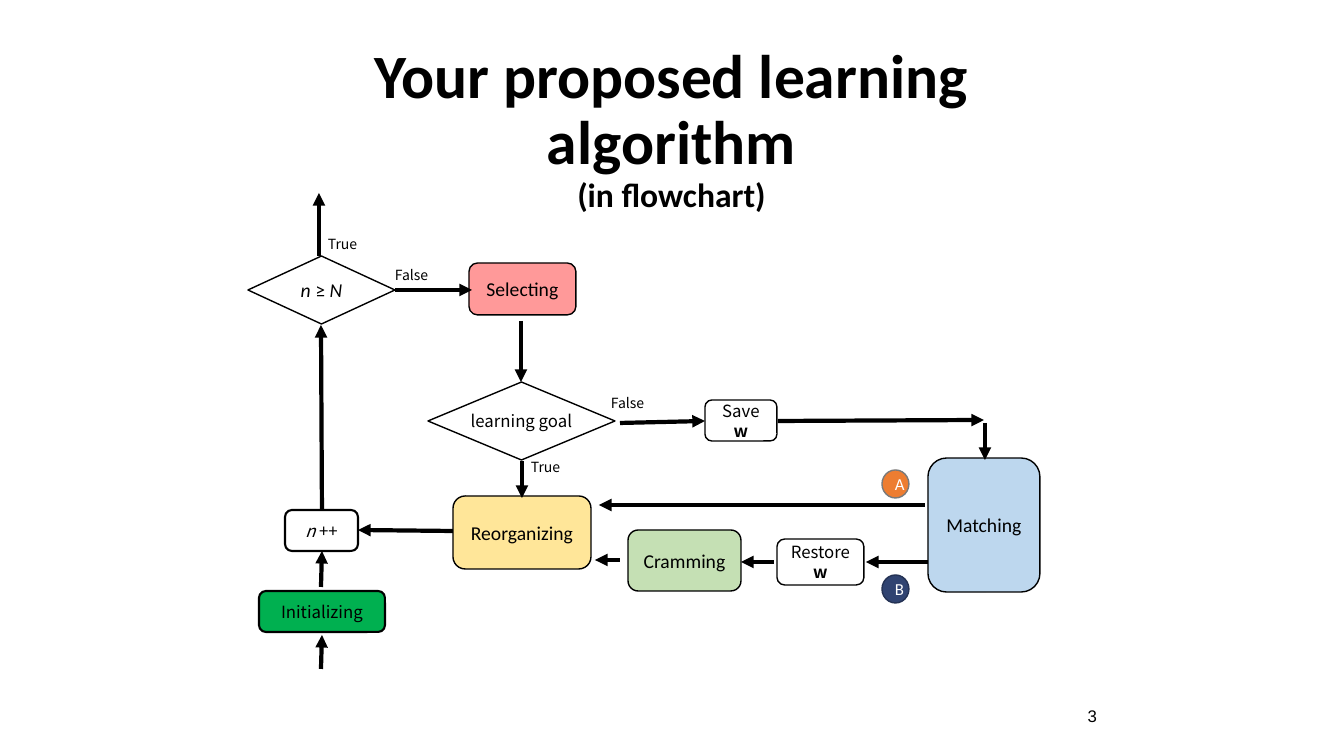
"""Build the learning algorithm flowchart slide."""
from lxml.etree import SubElement
from pptx import Presentation
from pptx.dml.color import RGBColor
from pptx.enum.shapes import MSO_CONNECTOR, MSO_SHAPE as SHAPE
from pptx.enum.text import MSO_ANCHOR as ANCHOR, PP_ALIGN as ALIGN
from pptx.oxml.ns import qn
from pptx.util import Pt

PX = 914400 / 100.8
COLORS = {
    "black": "000000", "white": "FFFFFF", "blue": "BDD7EE", "green": "C5E0B4",
    "red": "FF9999", "yellow": "FFE699", "emerald": "00B050", "orange": "ED7D31",
    "navy": "304371", "gray": "7A7A7A", "dark navy": "243254",
}
CALIBRI, CJK_TC, CJK_SC = "Calibri", "Noto Sans CJK TC", "Noto Sans CJK SC"

TITLE = [[("Your proposed learning algorithm", "b", 44)], [("(in flowchart)", "b", 24)]]
STEPS = [
    ((285, 510, 73, 41), "white", 1.5, [("n", "i"), (" ++", "")], CJK_TC, 12),
    ((705, 400, 72, 41), "white", 1, [("Save ", ""), ("w", "b")], CJK_TC, 12),
    ((928, 458, 112, 134), "blue", 1, [("Matching", "")], CALIBRI, 14),
    ((628, 530, 113, 61), "green", 1, [("Cramming", "")], CALIBRI, 14),
    ((777, 539, 87, 46), "white", 1, [("Restore ", ""), ("w", "b")], CJK_TC, 12),
    ((469, 263, 107, 52), "red", 1, [("Selecting", "")], CALIBRI, 14),
    ((453, 496, 138, 73), "yellow", 1, [("Reorganizing", "")], CALIBRI, 14),
    ((259, 591, 126, 41), "emerald", 1.5, [("Initializing", "")], CJK_TC, 12),
]
DECISIONS = [
    ((248, 256, 147, 68), [("n ", "i"), ("≥ ", ""), ("N", "i")], CALIBRI, 14),
    ((428, 382, 187, 78), [("learning goal", "")], CJK_SC, 12),
]
BADGES = [("A", (882, 470, 27, 28), "orange", "gray"),
          ("B", (882, 575, 27, 28), "navy", "dark navy")]
BRANCHES = [("False", (601, 390, 59, 27)), ("True", (521, 454, 55, 27)),
            ("False", (385, 262, 59, 27)), ("True", (318, 231, 55, 27))]
ARROWS = [
    (522, 461, 522, 498), (395, 290, 472, 290), (322, 510, 321, 325),
    (620, 423, 705, 421), (778, 421, 984, 420), (620, 560, 595, 560),
    (321, 587, 322, 551), (453, 531, 358, 530), (925, 505, 599, 505),
    (774, 562, 741, 562), (928, 562, 866, 562), (521, 321, 521, 382),
    (319, 256, 319, 193), (985, 423, 985, 460), (321, 669, 322, 635),
]


def px(*values):
    return [round(v * PX) for v in values]


def rgb(name):
    return RGBColor.from_string(COLORS[name])


def write(s, paragraphs, font=CALIBRI, size=12, color="black", align=ALIGN.CENTER,
          anchor=ANCHOR.MIDDLE, insets=(10, 5), wrap=True, spacing=None):
    tf = s.text_frame
    tf.word_wrap = wrap
    tf.vertical_anchor = anchor
    tf.margin_left = tf.margin_right = px(insets[0])[0]
    tf.margin_top = tf.margin_bottom = px(insets[1])[0]
    for i, runs in enumerate(paragraphs):
        p = tf.add_paragraph() if i else tf.paragraphs[0]
        p.alignment = align
        p.line_spacing = spacing
        for text, style, *own_size in runs:
            r = p.add_run()
            r.text = text
            r.font.name = font
            r.font.size = Pt(own_size[0] if own_size else size)
            r.font.bold = style == "b"
            r.font.italic = style == "i"
            r.font.color.rgb = rgb(color)


def add_box(sp, kind, box, fill="white", line="black", width=1):
    s = sp.add_shape(kind, *px(*box))
    s.shadow.inherit = False
    s.fill.solid()
    s.fill.fore_color.rgb = rgb(fill)
    s.line.color.rgb = rgb(line)
    s.line.width = Pt(width)
    return s


def add_arrow(sp, ends):
    s = sp.add_connector(MSO_CONNECTOR.STRAIGHT, *px(*ends))
    s.line.color.rgb = rgb("black")
    s.line.width = Pt(3)
    SubElement(s.line._get_or_add_ln(), qn("a:tailEnd"), type="triangle")
    SubElement(s._element.spPr, qn("a:effectLst"))


def main():
    prs = Presentation()
    prs.slide_width, prs.slide_height = px(1344, 756)
    sp = prs.slides.add_slide(prs.slide_layouts[6]).shapes

    for box, fill, width, runs, font, size in STEPS:
        s = add_box(sp, SHAPE.ROUNDED_RECTANGLE, box, fill, width=width)
        write(s, [runs], font=font, size=size)
    for box, runs, font, size in DECISIONS:
        s = add_box(sp, SHAPE.DIAMOND, box)
        write(s, [runs], font=font, size=size, insets=(5, 5), wrap=False)
    for ends in ARROWS:
        add_arrow(sp, ends)
    for text, box in BRANCHES:
        write(sp.add_textbox(*px(*box)), [[(text, "")]], font=CJK_TC, size=10,
              align=ALIGN.LEFT, anchor=ANCHOR.TOP)
    for text, box, fill, line in BADGES:
        s = add_box(sp, SHAPE.OVAL, box, fill, line)
        write(s, [[(text, "")]], color="white")

    write(sp.add_textbox(*px(237, 40, 869, 146)), TITLE, anchor=ANCHOR.TOP,
          insets=(20, 5), spacing=0.9)
    write(sp.add_textbox(*px(880, 701, 227, 40)), [[("3", "")]], font="Arial",
          align=ALIGN.RIGHT, anchor=ANCHOR.TOP)
    prs.save("out.pptx")


if __name__ == "__main__":
    main()
